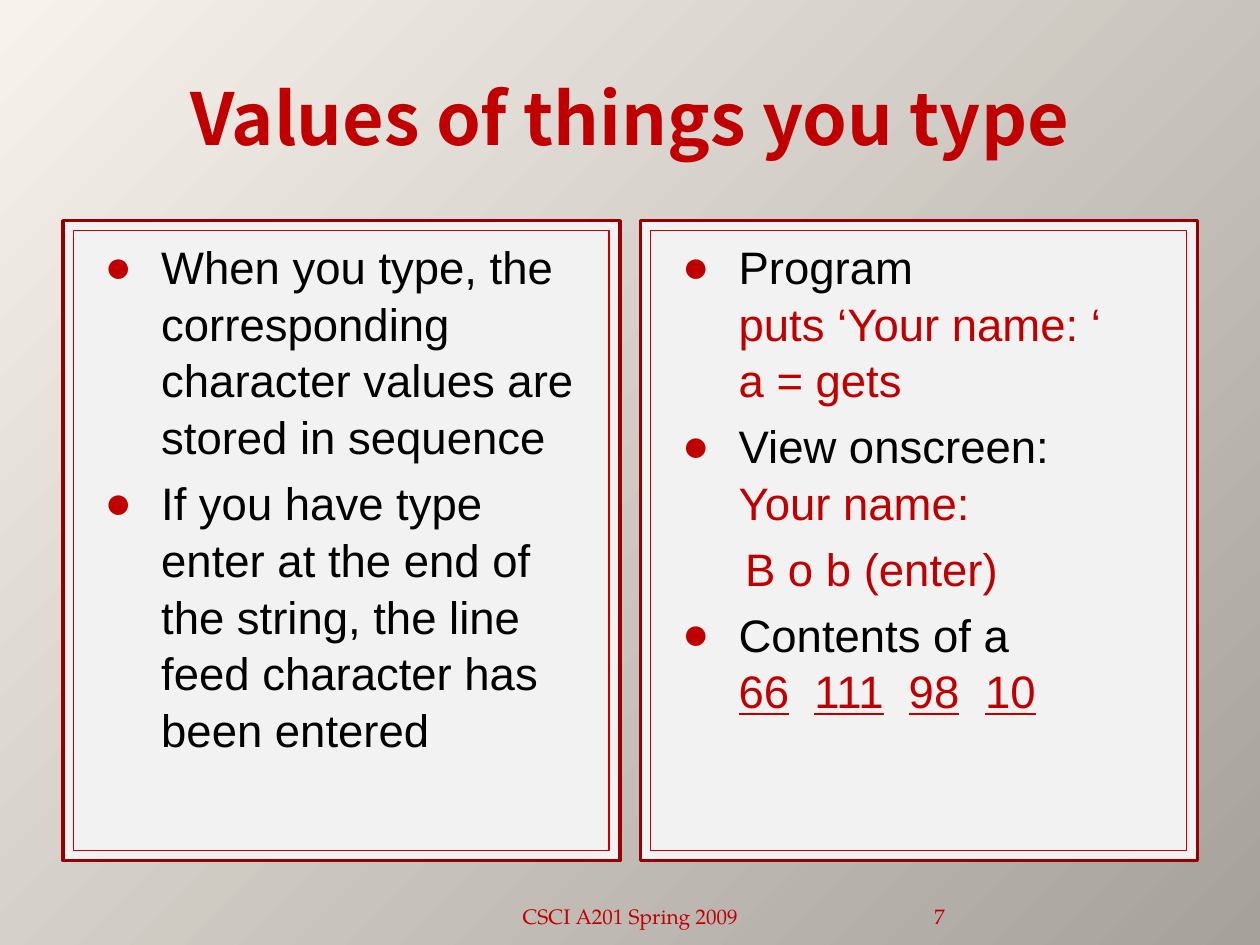
from lxml import etree
from pptx import Presentation
from pptx.dml.color import RGBColor
from pptx.enum.shapes import MSO_SHAPE
from pptx.enum.text import MSO_ANCHOR, PP_ALIGN
from pptx.oxml.ns import qn
from pptx.util import Cm, Pt

RECT = MSO_SHAPE.RECTANGLE
TOP, MIDDLE, BOTTOM = MSO_ANCHOR.TOP, MSO_ANCHOR.MIDDLE, MSO_ANCHOR.BOTTOM
LEFT, CENTER, RIGHT = PP_ALIGN.LEFT, PP_ALIGN.CENTER, PP_ALIGN.RIGHT
COLORS = {"light": "F7F3EC", "dark": "A6A29B", "panel": "F2F2F2",
          "frame": "970000", "edge": "CC0000", "red": "C00000",
          "black": "000000"}
HEAD, BODY, FOOT = "Noto Sans CJK SC", "Arial", "TeX Gyre Pagella"
INDENT, HANG = 1.52, 1.14
TABS = (3.05, 4.95, 6.49)


def rgb(name):
    return RGBColor.from_string(COLORS[name])


def style(run, face, size, color, bold=False):
    run.font.name = face
    run.font.size = Pt(size)
    run.font.bold = bold
    run.font.color.rgb = rgb(color)


def add_back(slide):
    fill = slide.background.fill
    fill.gradient()
    fill.gradient_angle = 315
    for stop, (name, place) in zip(fill.gradient_stops,
                                   (("light", 0), ("dark", 1))):
        stop.color.rgb = rgb(name)
        stop.position = place


def add_label(slide, text, area, face, size, align, anchor, bold=False, side=0.25):
    frame = slide.shapes.add_textbox(*map(Cm, area)).text_frame
    frame.word_wrap = True
    frame.vertical_anchor = anchor
    frame.margin_left = frame.margin_right = Cm(side)
    frame.text = text
    para = frame.paragraphs[0]
    para.alignment = align
    style(para.runs[0], face, size, "red", bold)


def add_box(slide, area, edge, width):
    box = slide.shapes.add_shape(RECT, *map(Cm, area))
    box.shadow.inherit = False
    box.fill.solid()
    box.fill.fore_color.rgb = rgb("panel")
    box.line.color.rgb = rgb(edge)
    box.line.width = Pt(width)
    return box


def add_panel(slide, left):
    add_box(slide, (left, 4.45, 11.23, 12.9), "frame", 2)
    frame = add_box(slide, (left + 0.21, 4.65, 10.8, 12.5), "edge", 0.75).text_frame
    frame.word_wrap = True
    frame.vertical_anchor = TOP
    return frame


def set_indent(para, bullet):
    props = para._p.get_or_add_pPr()
    left, hang = (INDENT, -HANG) if bullet else (INDENT + 0.13, 0)
    props.set("marL", str(Cm(left)))
    props.set("indent", str(Cm(hang)))
    if bullet:
        color = etree.SubElement(props, qn("a:buClr"))
        etree.SubElement(color, qn("a:srgbClr"), val=COLORS["red"])
        etree.SubElement(props, qn("a:buFont"), typeface=BODY)
        etree.SubElement(props, qn("a:buChar"), char="●")
    else:
        etree.SubElement(props, qn("a:buNone"))


def add_item(frame, text, first=False, bullet=True):
    para = frame.paragraphs[0] if first else frame.add_paragraph()
    para.text = text
    para.alignment = LEFT
    para.line_spacing = 1.04
    para.space_before = Pt(0 if first else 5.2)
    set_indent(para, bullet)
    for rank, run in enumerate(para.runs):
        style(run, BODY, 26, "red" if rank or not bullet else "black")
    return para


def add_codes(para, codes):
    stops = etree.SubElement(para._p.get_or_add_pPr(), qn("a:tabLst"))
    for place in TABS:
        etree.SubElement(stops, qn("a:tab"), pos=str(Cm(place)), algn="l")
    para.add_line_break()
    for rank, code in enumerate(codes):
        for text in ("\t", code) if rank else (code,):
            run = para.add_run()
            run.text = text
            style(run, BODY, 26, "red")
            run.font.underline = text == code


def main():
    deck = Presentation()
    deck.slide_width, deck.slide_height = Cm(25.4), Cm(19.05)
    slide = deck.slides.add_slide(deck.slide_layouts[6])
    add_back(slide)
    add_label(slide, "Values of things you type", (1.27, 0.76, 22.86, 3.18),
              HEAD, 41, CENTER, MIDDLE, bold=True)

    notes = add_panel(slide, 1.27)
    add_item(notes, "When you type, the corresponding character values "
             "are stored in sequence", first=True)
    add_item(notes, "If you have type enter at the end of the string, "
             "the line feed character has been entered")

    demo = add_panel(slide, 12.91)
    add_item(demo, "Program\vputs ‘Your name: ‘\va = gets", first=True)
    add_item(demo, "View onscreen:\vYour name:")
    add_item(demo, "B o b (enter)", bullet=False)
    add_codes(add_item(demo, "Contents of a"), ("66", "111", "98", "10"))

    add_label(slide, "CSCI A201 Spring 2009", (8.68, 17.83, 8.05, 1.02),
              FOOT, 12, CENTER, BOTTOM)
    add_label(slide, "7", (16.93, 17.83, 2.12, 1.02), FOOT, 12, RIGHT, BOTTOM,
              side=0)
    deck.save("out.pptx")


if __name__ == "__main__":
    main()
